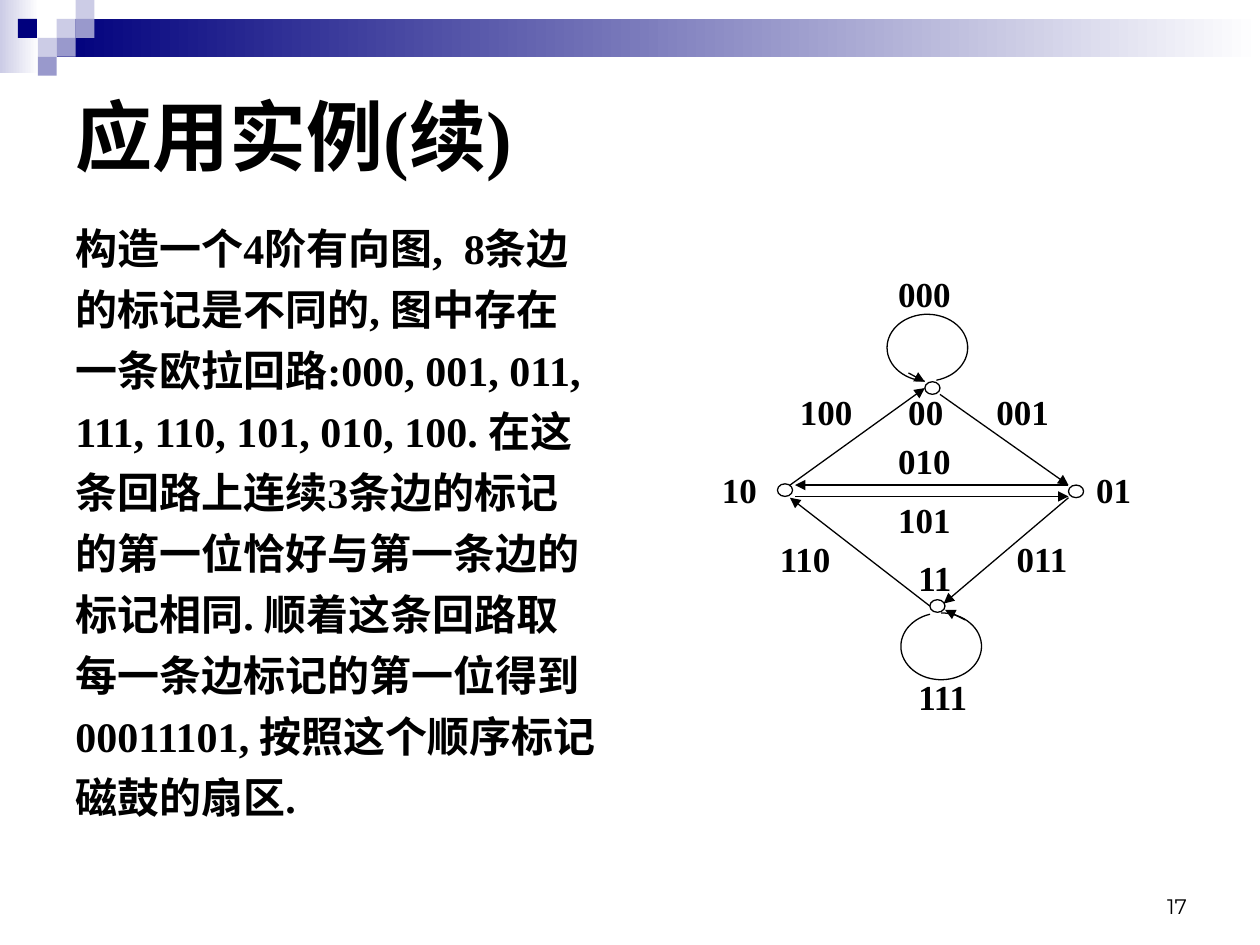
import math
from pptx import Presentation
from pptx.dml.color import RGBColor
from pptx.enum import shapes as sh, text as tx
from pptx.oxml import ns
from pptx.util import Inches, Pt
from lxml import etree

BLACK, NAVY, LILAC, VIOLET, WHITE = "000000", "00007D", "CCCCE6", "9999CC", "FFFFFF"
LINE_WIDTH = Pt(0.74)

deck = Presentation()
deck.slide_width, deck.slide_height = Inches(10), Inches(7.5)
slide = deck.slides.add_slide(deck.slide_layouts[6])


def color(code):
    """Turn a hex string into a colour."""
    return RGBColor.from_string(code)


def add_text(lines, left, top, width, height, size, align=tx.PP_ALIGN.LEFT,
             anchor=tx.MSO_ANCHOR.TOP, font="Times New Roman", bold=True):
    """Add a text box with one paragraph per line and return its paragraphs."""
    frame = slide.shapes.add_textbox(*map(Inches, (left, top, width, height))).text_frame
    frame.word_wrap = True
    frame.vertical_anchor = anchor
    for index, line in enumerate(lines):
        paragraph = frame.add_paragraph() if index else frame.paragraphs[0]
        paragraph.alignment = align
        run = paragraph.add_run()
        run.text = line
        run.font.size, run.font.bold, run.font.name = Pt(size), bold, font
        run.font.color.rgb = color(BLACK)
    return frame.paragraphs


# Header band: two gradients, then the mosaic of small squares
for left, top, width, height, start in [(0, 0, 0.31, 0.58, LILAC), (0.45, 0.15, 9.55, 0.3, NAVY)]:
    band = slide.shapes.add_shape(sh.MSO_SHAPE.RECTANGLE, *map(Inches, (left, top, width, height)))
    band.shadow.inherit = False
    band.line.fill.background()
    band.fill.gradient()
    band.fill.gradient_angle = 0
    for stop, code in zip(band.fill.gradient_stops, (start, WHITE)):
        stop.color.rgb = color(code)

TILE = 0.15
for column, row, code in [(3, 1, LILAC), (4, 0, LILAC), (4, 1, VIOLET), (2, 2, LILAC),
                          (0.95, 1, NAVY), (3, 2, VIOLET), (2, 3, VIOLET)]:
    tile = slide.shapes.add_shape(sh.MSO_SHAPE.RECTANGLE, Inches(column * TILE),
                                  Inches(row * TILE), Inches(TILE), Inches(TILE))
    tile.shadow.inherit = False
    tile.line.fill.background()
    tile.fill.solid()
    tile.fill.fore_color.rgb = color(code)

# Title, explanation and page number
add_text(["应用实例(续)"], 0.5, 0.5, 9, 1.14, 44, anchor=tx.MSO_ANCHOR.MIDDLE)
explanation = [
    "构造一个4阶有向图,  8条边",
    "的标记是不同的, 图中存在",
    "一条欧拉回路:000, 001, 011,",
    "111, 110, 101, 010, 100. 在这",
    "条回路上连续3条边的标记",
    "的第一位恰好与第一条边的",
    "标记相同. 顺着这条回路取",
    "每一条边标记的第一位得到",
    "00011101, 按照这个顺序标记",
    "磁鼓的扇区.",
]
for paragraph in add_text(explanation, 0.5, 1.72, 9, 5.23, 24):
    paragraph.space_before = Pt(6)
    hanging = paragraph._p.get_or_add_pPr()
    hanging.set("marL", str(Inches(0.38)))
    hanging.set("indent", str(-Inches(0.38)))
add_text(["17"], 7.19, 6.84, 2.33, 0.5, 12, tx.PP_ALIGN.RIGHT,
         tx.MSO_ANCHOR.BOTTOM, "Montserrat", False)

# Graph vertices
for left, top in [(7.34, 3.03), (7.38, 4.76), (8.48, 3.85), (6.17, 3.84)]:
    vertex = slide.shapes.add_shape(sh.MSO_SHAPE.OVAL, *map(Inches, (left, top, 0.12, 0.1)))
    vertex.shadow.inherit = False
    vertex.fill.solid()
    vertex.fill.fore_color.rgb = color(WHITE)
    vertex.line.color.rgb = color(BLACK)
    vertex.line.width = LINE_WIDTH

# Directed edges; the last two are the arrow tips of the loops
edges = [
    (7.46, 3.13, 8.48, 3.85), (8.48, 3.95, 7.49, 4.79),
    (7.38, 4.81, 6.27, 3.95), (6.27, 3.85, 7.34, 3.08),
    (8.48, 3.85, 6.31, 3.85), (6.31, 3.94, 8.48, 3.94),
    (7.21, 2.96, 7.34, 3.03), (7.66, 4.92, 7.5, 4.84),
]
for ends in edges:
    edge = slide.shapes.add_connector(sh.MSO_CONNECTOR.STRAIGHT, *map(Inches, ends))
    edge.line.color.rgb = color(BLACK)
    edge.line.width = LINE_WIDTH
    etree.SubElement(edge.line._get_or_add_ln(), ns.qn("a:tailEnd"), type="triangle")
    etree.SubElement(edge._element.spPr, ns.qn("a:effectLst"))

# Self-loops: open elliptical arcs, angles in degrees clockwise from the right
STEPS = 60
for center_x, center_y, first, last in [(7.36, 2.76, 77, -266), (7.47, 5.13, -106, -450)]:
    angles = [math.radians(first + (last - first) * i / STEPS) for i in range(STEPS + 1)]
    points = [(Inches(center_x + 0.32 * math.cos(a)), Inches(center_y + 0.265 * math.sin(a)))
              for a in angles]
    outline = slide.shapes.build_freeform(*points[0])
    outline.add_line_segments(points[1:], close=False)
    loop = outline.convert_to_shape()
    loop.shadow.inherit = False
    loop.fill.background()
    loop.line.color.rgb = color(BLACK)
    loop.line.width = LINE_WIDTH

# Vertex labels have two digits, edge labels three
labels = [
    ("00", 7.11, 3.05), ("01", 8.6, 3.67), ("10", 5.63, 3.67), ("11", 7.19, 4.37),
    ("000", 7.03, 2.11), ("001", 7.81, 3.05), ("011", 7.97, 4.22), ("010", 7.03, 3.44),
    ("100", 6.25, 3.05), ("101", 7.03, 3.91), ("110", 6.09, 4.22), ("111", 7.19, 5.31),
]
for label, left, top in labels:
    width = 0.62 if len(label) == 2 else 0.78
    add_text([label], left, top, width, 0.47, 20, tx.PP_ALIGN.JUSTIFY)

deck.save("out.pptx")
